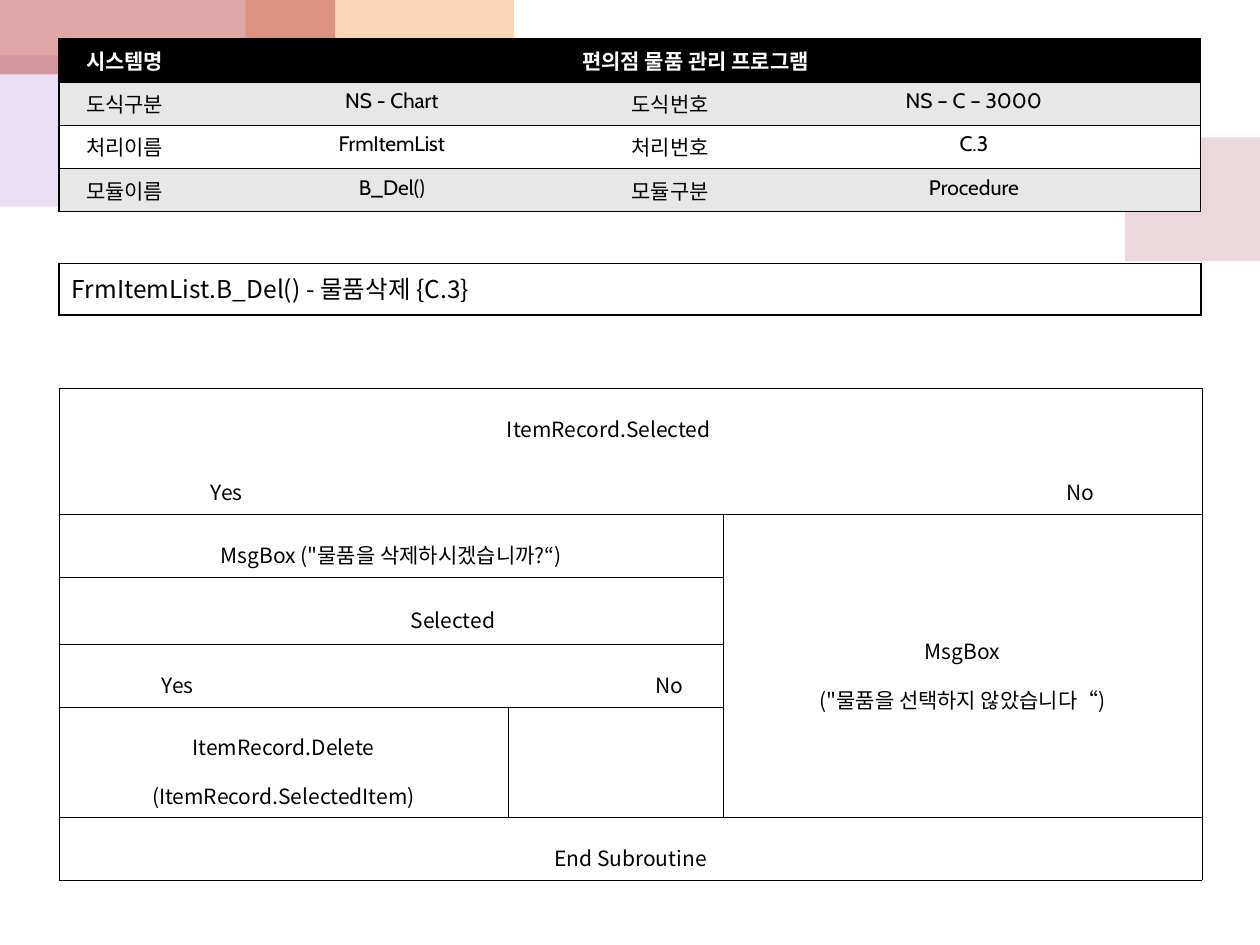
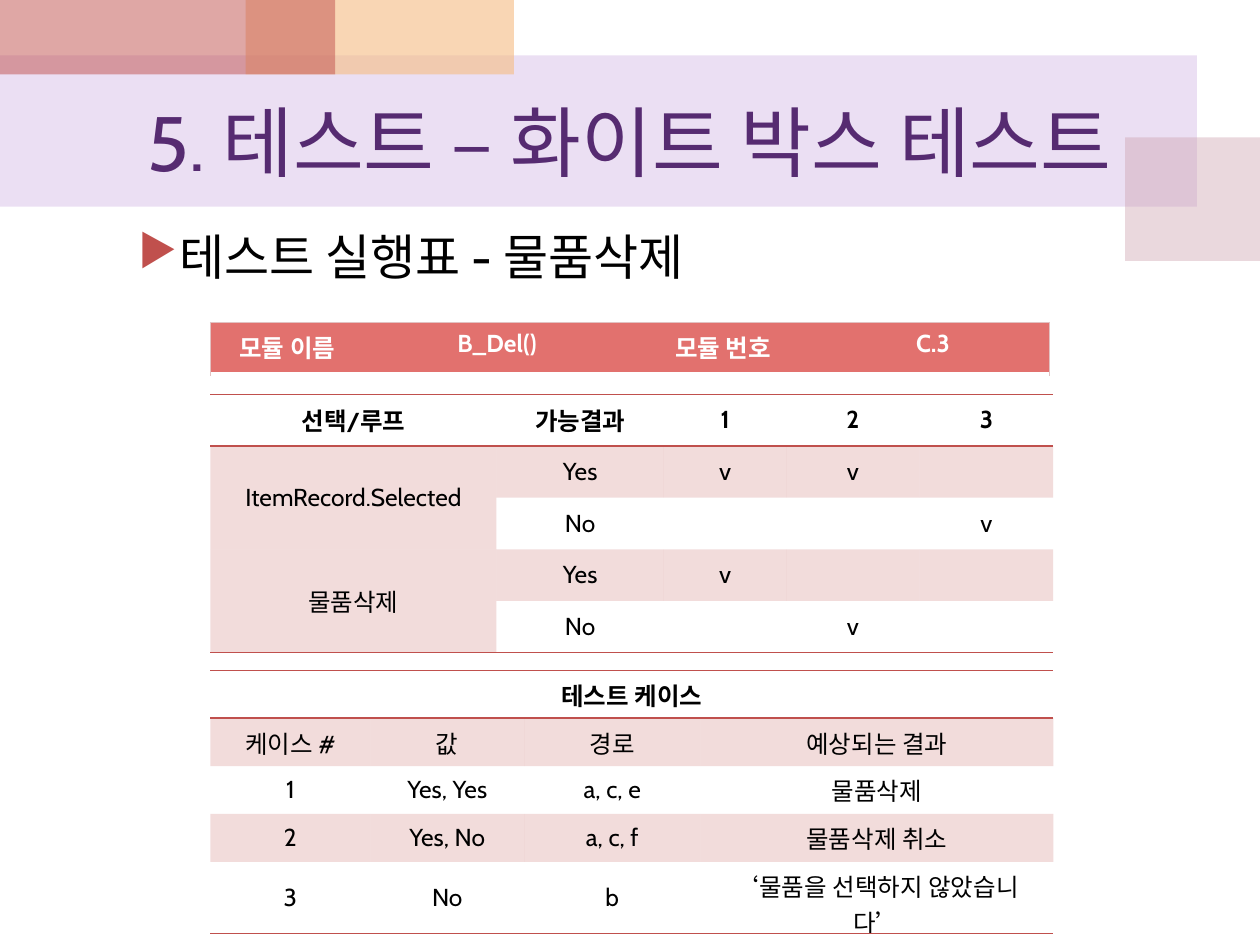
from dataclasses import dataclass

from lxml import etree
from pptx import Presentation
from pptx.dml.color import RGBColor
from pptx.enum.shapes import MSO_SHAPE
from pptx.enum.text import MSO_ANCHOR, PP_ALIGN
from pptx.oxml.ns import qn
from pptx.util import Inches, Pt

RECTANGLE = MSO_SHAPE.RECTANGLE
TOP, MIDDLE = MSO_ANCHOR.TOP, MSO_ANCHOR.MIDDLE
LEFT, CENTER, RIGHT = PP_ALIGN.LEFT, PP_ALIGN.CENTER, PP_ALIGN.RIGHT
BLANK_LAYOUT = 6
PLAIN_TABLE = "{2D5ABB26-0587-4C30-8999-92F81FD0307C}"
SIDE_TAGS = {side: qn(f"a:ln{side}") for side in "LRTB"}
TAG_ORDER = list(SIDE_TAGS.values())


@dataclass(frozen=True)
class Theme:
    font: str = "Cabin"
    korean_font: str = "Noto Sans CJK KR"
    black: str = "000000"
    white: str = "FFFFFF"
    gray: str = "E7E7E7"
    purple: str = "562B71"
    lavender: str = "BF98D8"
    mauve: str = "CC9EAC"
    apricot: str = "F5BC83"
    red: str = "C0504D"
    coral: str = "E2716E"
    blush: str = "E2C2C2"
    title_size: int = 44
    heading_size: int = 28
    medium_size: int = 14
    small_size: int = 12


THEME = Theme()
BANDS = [
    (0, 0.44, 9.5, 1.2, THEME.lavender, 30),
    (8.93, 1.09, 1.07, 0.98, THEME.mauve, 40),
    (1.95, 0, 2.13, 0.59, THEME.apricot, 60),
    (0, 0, 2.66, 0.59, THEME.red, 50),
]


class SlideBuilder:
    def __init__(self, presentation, theme):
        self.presentation = presentation
        self.theme = theme
        self.slide = None

    def new_slide(self):
        layout = self.presentation.slide_layouts[BLANK_LAYOUT]
        self.slide = self.presentation.slides.add_slide(layout)
        for band in BANDS:
            self.band(*band)

    def paint(self, fill, element, color, opacity=100):
        fill.solid()
        fill.fore_color.rgb = RGBColor.from_string(color)
        if opacity < 100:
            color_element = next(element.iter(qn("a:srgbClr")))
            etree.SubElement(color_element, qn("a:alpha"), val=str(opacity * 1000))

    def band(self, left, top, width, height, color, opacity):
        shape = self.slide.shapes.add_shape(
            RECTANGLE, Inches(left), Inches(top), Inches(width), Inches(height))
        shape.shadow.inherit = False
        shape.line.fill.background()
        self.paint(shape.fill, shape.element, color, opacity)

    def set_text(self, text_frame, text, size, color=THEME.black, bold=False,
                 align=CENTER, font=THEME.font, line_spacing=None):
        text_frame.text = text
        font_values = {"name": font, "size": Pt(size), "bold": bold}
        for paragraph in text_frame.paragraphs:
            paragraph.alignment = align
            paragraph.line_spacing = line_spacing
            for run in paragraph.runs:
                for name, value in font_values.items():
                    setattr(run.font, name, value)
                run.font.color.rgb = RGBColor.from_string(color)
                properties = run._r.get_or_add_rPr()
                etree.SubElement(properties, qn("a:ea"), typeface=self.theme.korean_font)

    def text_box(self, left, top, width, height, text, size, anchor=TOP, **style):
        shape = self.slide.shapes.add_textbox(
            Inches(left), Inches(top), Inches(width), Inches(height))
        text_frame = shape.text_frame
        text_frame.word_wrap = True
        text_frame.vertical_anchor = anchor
        self.set_text(text_frame, text, size, **style)
        return text_frame.paragraphs[0]

    def title(self, text):
        self.text_box(0.5, 0.59, 9, 1.05, text, self.theme.title_size,
                      anchor=MIDDLE, color=self.theme.purple)

    def bullet(self, text):
        paragraph = self.text_box(0.5, 1.75, 9, 4.95, text,
                                  self.theme.heading_size, align=LEFT)
        properties = paragraph._p.get_or_add_pPr()
        properties.set("marL", str(Inches(0.81)))
        properties.set("indent", str(Inches(-0.31)))
        color = etree.SubElement(properties, qn("a:buClr"))
        etree.SubElement(color, qn("a:srgbClr"), val=self.theme.red)
        etree.SubElement(properties, qn("a:buSzPct"), val="90000")
        etree.SubElement(properties, qn("a:buChar"), char="▶")

    def table(self, left, top, widths, heights, rows, size, merges=(), fills=None,
              anchor=TOP, header=None, aligns=None, **style):
        frame = self.slide.shapes.add_table(
            len(rows), len(widths), Inches(left), Inches(top),
            Inches(sum(widths)), Inches(sum(heights)))
        next(frame.element.iter(qn("a:tableStyleId"))).text = PLAIN_TABLE
        table = frame.table
        table.first_row = table.horz_banding = False
        for column, width in zip(table.columns, widths):
            column.width = Inches(width)
        for row, height in zip(table.rows, heights):
            row.height = Inches(height)
        for row, column, row_span, column_span in merges:
            table.cell(row, column).merge(
                table.cell(row + row_span - 1, column + column_span - 1))
        for row, texts in enumerate(rows):
            for column, text in enumerate(texts):
                cell = table.cell(row, column)
                cell.vertical_anchor = anchor
                if fills and fills(row, column):
                    self.paint(cell.fill, cell._tc, *fills(row, column))
                if text:
                    cell_style = dict(style)
                    if header and row == 0:
                        cell_style.update(header)
                    if aligns and (row, column) in aligns:
                        cell_style["align"] = aligns[row, column]
                    self.set_text(cell.text_frame, text, size, **cell_style)
        return table

    def border(self, cell, side, color, width):
        properties = cell._tc.get_or_add_tcPr()
        for old_line in properties.findall(SIDE_TAGS[side]):
            properties.remove(old_line)
        line = etree.SubElement(properties, SIDE_TAGS[side], w=str(Pt(width)))
        fill = etree.SubElement(line, qn("a:solidFill"))
        etree.SubElement(fill, qn("a:srgbClr"), val=color)
        properties[:] = sorted(properties, key=lambda child: (
            TAG_ORDER.index(child.tag) if child.tag in TAG_ORDER else len(TAG_ORDER)))

    def outline(self, table, block, color, width, sides="LTRB"):
        first_row, first_column, last_row, last_column = block
        for row in range(first_row, last_row + 1):
            for column in range(first_column, last_column + 1):
                cell = table.cell(row, column)
                edges = {
                    "L": column == first_column,
                    "T": row == first_row,
                    "R": column + cell.span_width - 1 == last_column,
                    "B": row + cell.span_height - 1 == last_row,
                }
                for side in sides:
                    if edges[side]:
                        self.border(cell, side, color, width)


def build_chart_slide(builder):
    theme = builder.theme
    builder.new_slide()

    def system_fill(row, column):
        return ((theme.black, theme.gray, theme.white, theme.gray)[row],)

    system_rows = [
        ["시스템명", "편의점 물품 관리 프로그램", None, None],
        ["도식구분", "NS - Chart", "도식번호", "NS – C – 3000"],
        ["처리이름", "FrmItemList", "처리번호", "C.3"],
        ["모듈이름", "B_Del()", "모듈구분", "Procedure"],
    ]
    system_table = builder.table(
        0.47, 0.31, [1.04, 3.2, 1.22, 3.6], [0.34] * 4, system_rows, theme.small_size,
        merges=[(0, 1, 1, 3)], fills=system_fill,
        header={"color": theme.white, "bold": True})
    for row in range(len(system_rows)):
        builder.outline(system_table, (row, 0, row, 3), theme.black, 1)

    module_table = builder.table(
        0.47, 2.09, [9.06], [0.41], [["FrmItemList.B_Del() - 물품삭제 {C.3}"]],
        theme.medium_size, align=LEFT, font=theme.korean_font)
    builder.outline(module_table, (0, 0, 0, 0), theme.black, 1)

    flow_rows = [
        [None, None, "ItemRecord.Selected", None, None, None, None],
        ["Yes", None, None, None, None, None, "No"],
        ['MsgBox ("물품을 삭제하시겠습니까?“)', None, None, None, None,
         'MsgBox\n("물품을 선택하지 않았습니다“)', None],
        [None, "Selected", None, None, None, None, None],
        ["Yes", None, None, None, "No", None, None],
        ["ItemRecord.Delete (ItemRecord.SelectedItem)"] + [None] * 6,
        ["End Subroutine"] + [None] * 6,
    ]
    flow_merges = [
        (0, 0, 1, 2), (0, 2, 1, 3), (1, 0, 1, 2), (1, 2, 1, 3), (2, 0, 1, 5),
        (2, 5, 4, 2), (3, 1, 1, 2), (4, 1, 1, 2), (5, 0, 1, 3), (5, 3, 1, 2),
        (6, 0, 1, 7),
    ]
    flow_table = builder.table(
        0.47, 3.08, [1.88, 0.78, 0.9, 0.86, 0.85, 1.87, 1.93],
        [0.5, 0.5, 0.5, 0.53, 0.5, 0.87, 0.5], flow_rows, theme.small_size,
        merges=flow_merges, anchor=MIDDLE, aligns={(0, 2): RIGHT, (3, 1): RIGHT},
        font=theme.korean_font, line_spacing=1.6)
    flow_blocks = [
        (0, 0, 1, 6), (2, 0, 2, 4), (2, 5, 5, 6), (3, 0, 4, 4),
        (5, 0, 5, 2), (5, 3, 5, 4), (6, 0, 6, 6),
    ]
    for block in flow_blocks:
        builder.outline(flow_table, block, theme.black, 0.28)


def build_test_slide(builder):
    theme = builder.theme
    builder.new_slide()
    builder.title("5. 테스트 – 화이트 박스 테스트")

    module_table = builder.table(
        1.67, 2.56, [1.22, 2.11, 1.48, 1.85], [0.41],
        [["모듈 이름", "B_Del()", "모듈 번호", "C.3"]], theme.medium_size,
        fills=lambda row, column: (theme.coral,), color=theme.white, bold=True)
    builder.outline(module_table, (0, 0, 0, 3), theme.blush, 0.75, "LTR")
    builder.outline(module_table, (0, 0, 0, 3), theme.white, 2.5, "B")

    def banded_fill(row, column):
        return (theme.red, 20) if row % 2 else None

    case_rows = [
        ["테스트 케이스", None, None, None],
        ["케이스 #", "값", "경로", "예상되는 결과"],
        ["1", "Yes, Yes", "a, c, e", "물품삭제"],
        ["2", "Yes, No", "a, c, f", "물품삭제 취소"],
        ["3", "No", "b", "‘물품을 선택하지 않았습니다’"],
    ]
    branch_rows = [
        ["선택/루프", "가능결과", "1", "2", "3"],
        ["ItemRecord.Selected", "Yes", "v", "v", None],
        [None, "No", None, None, "v"],
        ["물품삭제", "Yes", "v", None, None],
        [None, "No", None, "v", None],
    ]
    result_tables = [
        (5.32, [1.27, 1.22, 1.4, 2.8], 0.38, case_rows, [(0, 0, 1, 4)]),
        (3.13, [2.27, 1.33, 0.97, 1.06, 1.06], 0.41, branch_rows,
         [(1, 0, 2, 1), (3, 0, 2, 1)]),
    ]
    for top, widths, height, rows, merges in result_tables:
        table = builder.table(
            1.67, top, widths, [height] * len(rows), rows, theme.medium_size,
            merges=merges, fills=banded_fill, anchor=MIDDLE, header={"bold": True})
        last_row, last_column = len(rows) - 1, len(widths) - 1
        builder.outline(table, (0, 0, 0, last_column), theme.red, 1, "TB")
        builder.outline(table, (1, 0, last_row, last_column), theme.red, 1, "B")

    builder.bullet("테스트 실행표 - 물품삭제")


def main():
    presentation = Presentation()
    presentation.slide_width = Inches(10)
    presentation.slide_height = Inches(7.5)
    builder = SlideBuilder(presentation, THEME)
    build_chart_slide(builder)
    build_test_slide(builder)
    presentation.save("out.pptx")


if __name__ == "__main__":
    main()
